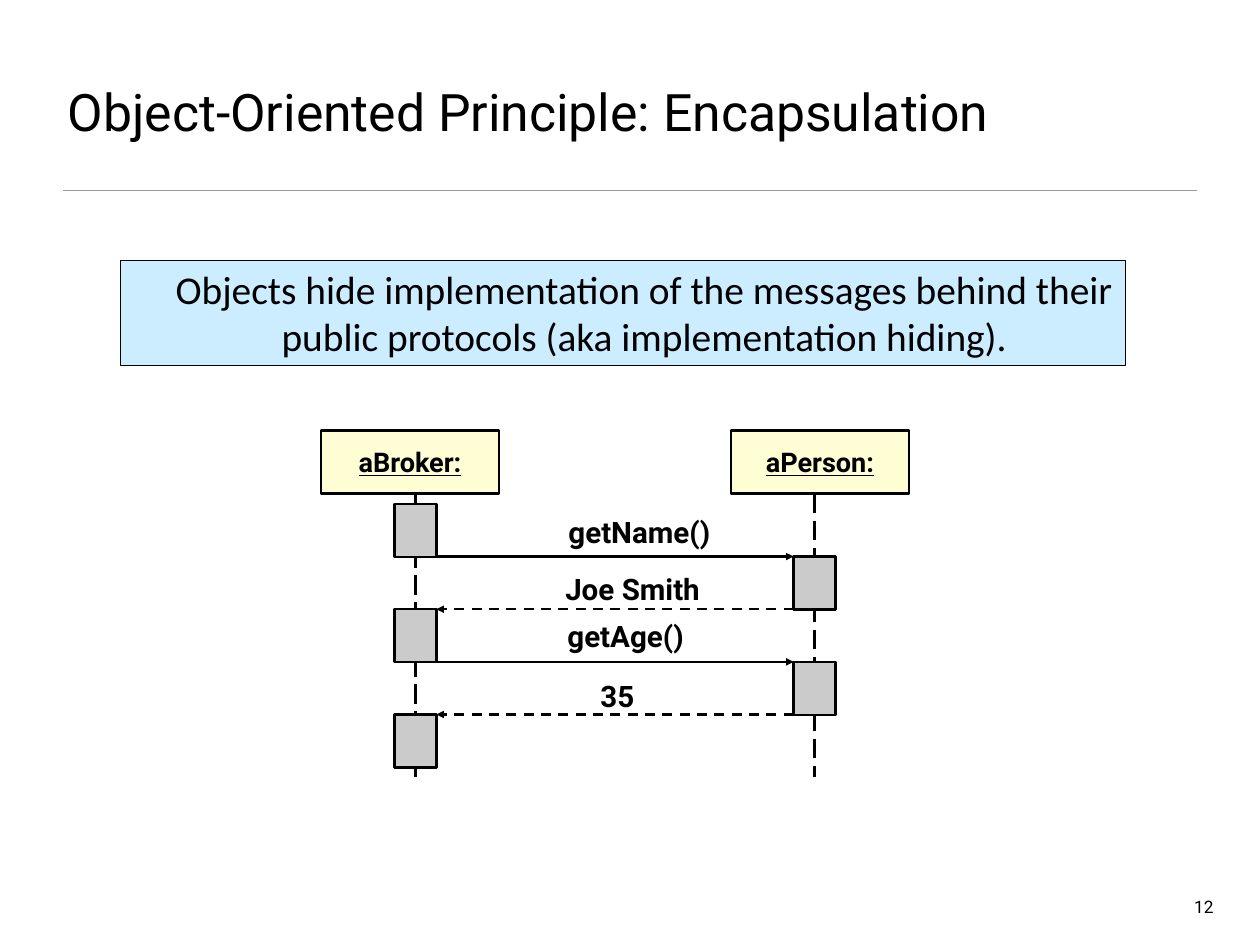
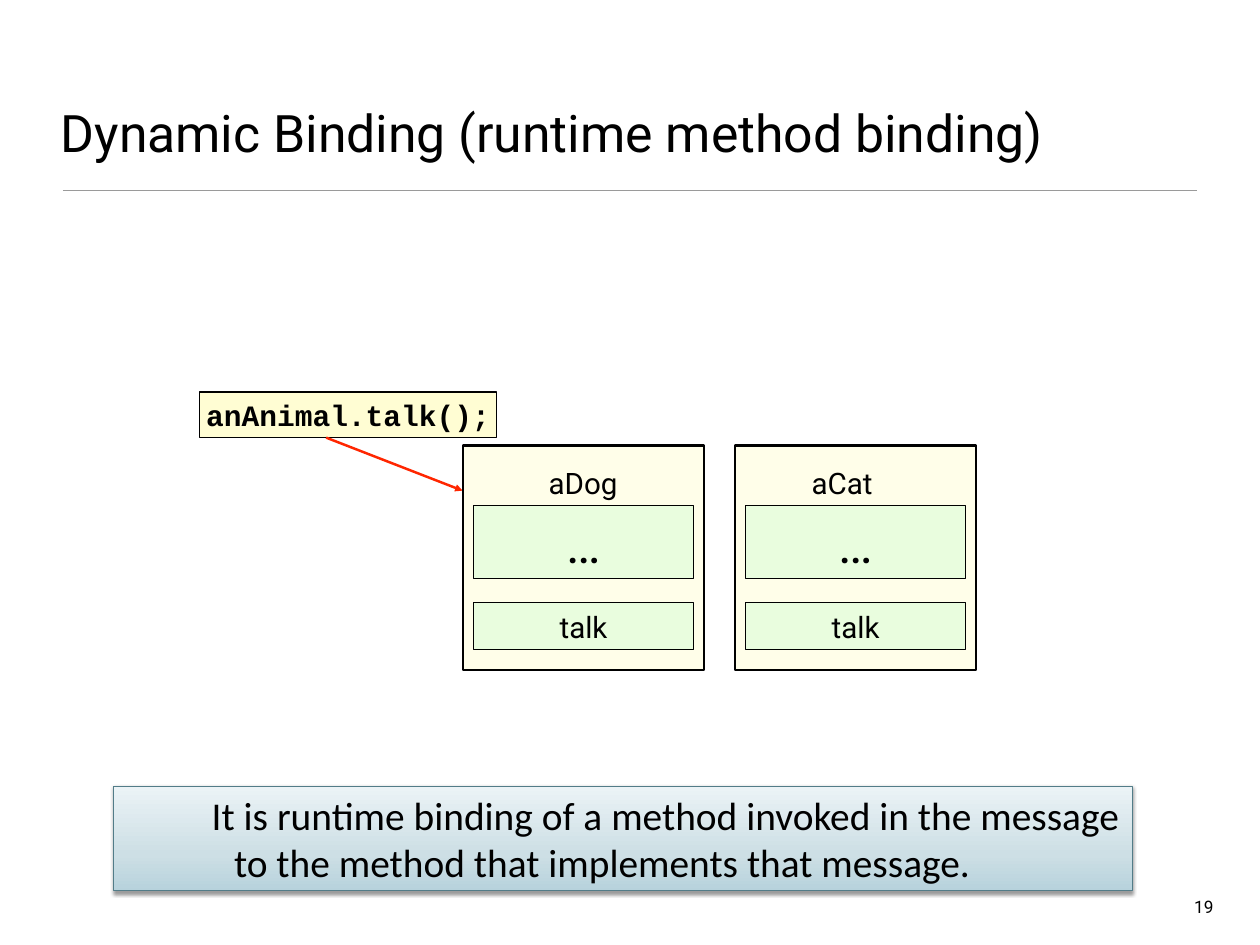
"""Builds two slides on encapsulation and dynamic binding."""
from copy import deepcopy

from pptx import Presentation
from pptx import util as u
from pptx.dml.color import RGBColor
from pptx.enum import dml, shapes, text
from pptx.oxml import ns
from pptx.oxml.xmlchemy import OxmlElement

BLACK = RGBColor(0x00, 0x00, 0x00)
RULE = RGBColor(0x9A, 0x9A, 0x9A)
RED = RGBColor(0xFF, 0x26, 0x00)
GRAY = RGBColor(0xCB, 0xCB, 0xCB)
SKY = RGBColor(0xCC, 0xEC, 0xFF)
YELLOW = RGBColor(0xFF, 0xFD, 0xA9)
CREAM = RGBColor(0xFF, 0xFE, 0xD5)
GREEN = RGBColor(0xD4, 0xFD, 0xD5)
TEAL = RGBColor(0x52, 0x7C, 0x88)
FADE = (
    (0, RGBColor(0xB7, 0xD2, 0xDC)),
    (0.35, RGBColor(0xCD, 0xDF, 0xE5)),
    (1, RGBColor(0xEB, 0xF3, 0xF6)),
)

SANS, BODY, MONO = "Roboto", "Calibri", "Courier New"
LEFT, MID, RIGHT = text.PP_ALIGN.LEFT, text.PP_ALIGN.CENTER, text.PP_ALIGN.RIGHT
TOP, CENTER, BOTTOM = text.MSO_ANCHOR.TOP, text.MSO_ANCHOR.MIDDLE, text.MSO_ANCHOR.BOTTOM
DASH, LONG = dml.MSO_LINE.DASH, dml.MSO_LINE.LONG_DASH


def cm(*sizes):
    return [u.Cm(size) for size in sizes]


def child(parent, tag, **attrs):
    item = OxmlElement(tag)
    for name, value in attrs.items():
        item.set(name, str(value))
    parent.append(item)
    return item


def write(shape, words, size, font=SANS, bold=False, under=False,
          align=MID, anchor=BOTTOM, wrap=True, pad=(0.15, 0.15)):
    frame = shape.text_frame
    frame.word_wrap = wrap
    frame.vertical_anchor = anchor
    frame.margin_left = frame.margin_right = u.Cm(pad[0])
    frame.margin_top = frame.margin_bottom = u.Cm(pad[1])
    para = frame.paragraphs[0]
    para.alignment = align
    run = para.add_run()
    run.text = words
    run.font.name = font
    run.font.size = u.Pt(size)
    run.font.bold = bold
    run.font.underline = under
    run.font.color.rgb = BLACK


def label(slide, at, words, size, **style):
    write(slide.shapes.add_textbox(*cm(*at)), words, size, **style)


def box(slide, at, fill, width=1, clear=False, edge=BLACK):
    shape = slide.shapes.add_shape(shapes.MSO_SHAPE.RECTANGLE, *cm(*at))
    shape.shadow.inherit = False
    shape.fill.solid()
    shape.fill.fore_color.rgb = fill
    if clear:
        tint = shape._element.spPr.find(".//" + ns.qn("a:srgbClr"))
        child(tint, "a:alpha", val=50000)
    shape.line.color.rgb = edge
    shape.line.width = u.Pt(width)
    return shape


def line(slide, ends, color=BLACK, width=2, dash=None, arrow=False):
    link = slide.shapes.add_connector(shapes.MSO_CONNECTOR.STRAIGHT, *cm(*ends))
    link.line.color.rgb = color
    link.line.width = u.Pt(width)
    if dash:
        link.line.dash_style = dash
    props = link._element.spPr
    if arrow:
        child(props.find(ns.qn("a:ln")), "a:tailEnd", type="triangle")
    child(props, "a:effectLst")


def banner(slide, at, words, margin, indent, align, edge=BLACK):
    shape = box(slide, at, SKY, 0.75, edge=edge)
    write(shape, words, 32, BODY, align=align, anchor=TOP, pad=(0.25, 0.13))
    para = shape.text_frame.paragraphs[0]._p.get_or_add_pPr()
    para.set("marL", str(u.Cm(margin)))
    para.set("indent", str(u.Cm(indent)))
    return shape


def fade(shape):
    shape.fill.gradient()
    shape.fill.gradient_angle = 90
    props = shape._element.spPr
    stops = props.find(".//" + ns.qn("a:gsLst"))
    stops.append(deepcopy(stops[0]))
    for stop, (place, color) in zip(shape.fill.gradient_stops, FADE):
        stop.position = place
        stop.color.rgb = color
    shade = child(props.find(ns.qn("a:effectLst")), "a:outerShdw",
                  blurRad=40000, dist=20000, dir=5400000, rotWithShape=0)
    child(child(shade, "a:srgbClr", val="000000"), "a:alpha", val=38000)


def base(deck, title, at, number):
    slide = deck.slides.add_slide(deck.slide_layouts[6])
    line(slide, (1.8, 5.46, 34.32, 5.46), RULE, 1)
    label(slide, at, title, 42, align=LEFT)
    label(slide, (34.08, 25.55, 0.86, 0.84), number, 14,
          align=RIGHT, anchor=TOP, wrap=False)
    return slide


def hiding(deck):
    slide = base(deck, "Object-Oriented Principle: Encapsulation",
                 (1.8, 0.08, 32.54, 4.14), "12")
    bars, wide, top, step = (11.31, 22.75), 1.2, 14.45, 1.51
    for name, left, bar in zip(("aBroker:", "aPerson:"), (9.2, 20.95), bars):
        mid = bar + wide / 2
        line(slide, (mid, 14.15, mid, 22.28), dash=LONG)
        head = box(slide, (left, 12.35, 5.11, 1.8), YELLOW, 2, clear=True)
        write(head, name, 22, bold=True, under=True, anchor=CENTER, wrap=False)
    for i in range(5):
        box(slide, (bars[i % 2], top + i * step, wide, 1.52), GRAY, 2)
    calls = (("getName()", 16.08, 14.63, 4.5), ("Joe Smith", 15.95, 16.26, 4.37),
             ("getAge()", 16.08, 17.63, 3.71), ("35", 16.2, 19.33, 3))
    for i, (words, left, high, span) in enumerate(calls):
        level = top + (i + 1) * step
        start, end = bars[0] + wide, bars[1]
        if i % 2:
            start, end = end, start
        line(slide, (start, level, end, level), dash=DASH if i % 2 else None, arrow=True)
        label(slide, (left, high, span, 1.27), words, 24, bold=True, wrap=False)
    banner(slide, (3.46, 7.47, 28.8, 3),
           "Objects hide implementation of the messages behind their "
           "public protocols (aka implementation hiding).", 1.24, 0, MID)


def animal(slide, name, left, shift, span):
    box(slide, (left, 12.78, 6.91, 6.43), CREAM, 2, clear=True)
    label(slide, (left + shift, 13.21, span, 1.3), name, 24, wrap=False)
    for words, size, top, high in (("…", 42, 14.49, 2.11), ("talk", 24, 17.27, 1.35)):
        part = box(slide, (left + 0.3, top, 6.32, high), GREEN, clear=True)
        write(part, words, size)


def binding(deck):
    slide = base(deck, "Dynamic Binding (runtime method binding)",
                 (1.59, 0.93, 32.94, 3.89), "19")
    call = box(slide, (5.72, 11.24, 8.51, 1.3), YELLOW, clear=True)
    write(call, "anAnimal.talk();", 24, MONO, bold=True, wrap=False)
    line(slide, (9.35, 12.55, 13.26, 14.07), RED, arrow=True)
    animal(slide, "aDog", 13.27, 2.3, 2.29)
    animal(slide, "aCat", 21.07, 2.04, 2.06)
    fade(banner(slide, (3.26, 22.55, 29.21, 3),
                "It is runtime binding of a method invoked in the message "
                "to the method that implements that message.",
                3.2, -0.64, LEFT, TEAL))


def main():
    deck = Presentation()
    deck.slide_width, deck.slide_height = cm(36.12, 27.1)
    hiding(deck)
    binding(deck)
    deck.save("out.pptx")


if __name__ == "__main__":
    main()
